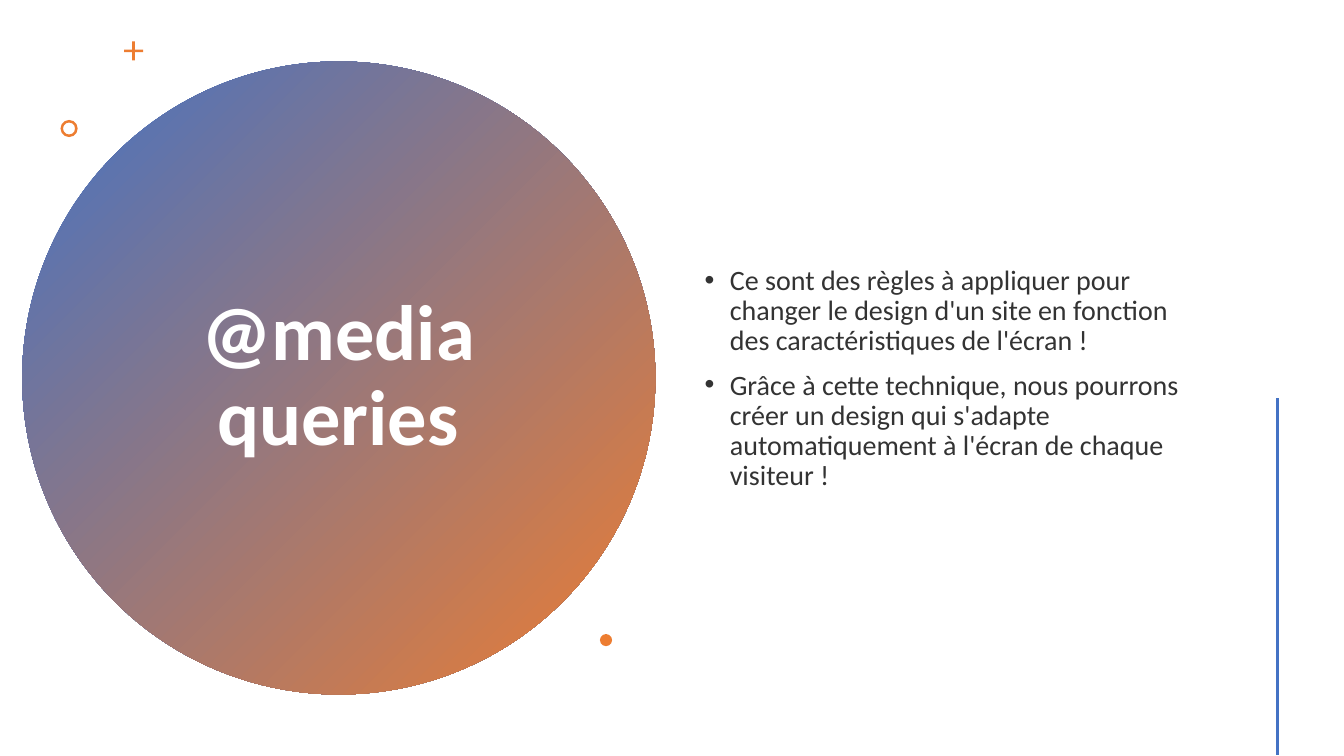
import pptx
import pptx.util
import pptx.dml.color
import pptx.enum.text
import pptx.enum.shapes
import pptx.oxml.ns
import lxml.etree

TITLE = ["@media queries"]
RULES = [
    "Ce sont des règles à appliquer pour changer le design d'un site en fonction des caractéristiques de l'écran !",
    "Grâce à cette technique, nous pourrons créer un design qui s'adapte automatiquement à l'écran de chaque visiteur !",
]
HUES = {"blue": "4472C4", "orange": "ED7D31", "white": "FFFFFF", "ink": "333333"}
FONT = "Calibri"
WIDE, HIGH = 13.33, 7.5

KIND = pptx.enum.shapes.MSO_SHAPE
ALIGN = pptx.enum.text.PP_ALIGN
AREAS = {
    "circle": (1.65, 8.13, 47.11, 83.73),
    "title": (10.2, 18.8, 29.93, 62.27),
    "rules": (51.69, 7.6, 39.16, 85.07),
}
MARKS = [
    (KIND.CROSS, (9.23, 5.47, 1.43, 2.53), 0.43),
    (KIND.DONUT, (4.5, 15.87, 1.28, 2.27), 0.15),
    (KIND.OVAL, (44.64, 83.87, 0.9, 1.6), None),
]
RAIL = (95.05, 52.67, 95.05, 99.87)


def hue(name):
    return pptx.dml.color.RGBColor.from_string(HUES[name])


def scale(area):
    return [pptx.util.Inches(part * side / 100)
            for part, side in zip(area, (WIDE, HIGH) * 2)]


def place(shape, area):
    shape.left, shape.top, shape.width, shape.height = scale(area)


def add(kind, area):
    shape = slide.shapes.add_shape(kind, *scale(area))
    shape.shadow.inherit = False
    shape.line.fill.background()
    return shape


def bullet(para):
    props = para._p.get_or_add_pPr()
    inset = pptx.util.Inches(0.25)
    props.set("marL", str(inset))
    props.set("indent", str(-inset))
    for tag, key, value in (("a:buFont", "typeface", "Arial"), ("a:buChar", "char", "•")):
        item = lxml.etree.SubElement(props, pptx.oxml.ns.qn(tag))
        item.set(key, value)


def write(shape, lines, size, color, bold=False, align=ALIGN.LEFT, dots=False, gap=0):
    frame = shape.text_frame
    frame.word_wrap = True
    frame.auto_size = pptx.enum.text.MSO_AUTO_SIZE.NONE
    frame.vertical_anchor = pptx.enum.text.MSO_ANCHOR.MIDDLE
    for rank, line in enumerate(lines):
        para = frame.add_paragraph() if rank else frame.paragraphs[0]
        if dots:
            bullet(para)
        para.alignment = align
        para.line_spacing = 0.9
        para.space_before = pptx.util.Pt(gap if rank else 0)
        run = para.add_run()
        run.text = line
        run.font.name = FONT
        run.font.size = pptx.util.Pt(size)
        run.font.bold = bold
        run.font.color.rgb = hue(color)


deck = pptx.Presentation()
deck.slide_width = pptx.util.Inches(WIDE)
deck.slide_height = pptx.util.Inches(HIGH)
slide = deck.slides.add_slide(deck.slide_layouts[5])

circle = add(KIND.OVAL, AREAS["circle"])
circle.fill.gradient()
circle.fill.gradient_angle = 315
for stop, name, spot in zip(circle.fill.gradient_stops, ("blue", "orange"), (0, 1)):
    stop.color.rgb = hue(name)
    stop.position = spot

title = slide.shapes.title
circle.element.addnext(title.element)
place(title, AREAS["title"])
write(title, TITLE, 56, "white", bold=True, align=ALIGN.CENTER)

rules = slide.shapes.add_textbox(*scale(AREAS["rules"]))
write(rules, RULES, 20, "ink", dots=True, gap=10)

for kind, area, depth in MARKS:
    mark = add(kind, area)
    mark.fill.solid()
    mark.fill.fore_color.rgb = hue("orange")
    if depth:
        mark.adjustments[0] = depth

rail = slide.shapes.add_connector(pptx.enum.shapes.MSO_CONNECTOR.STRAIGHT, *scale(RAIL))
rail.line.color.rgb = hue("blue")
rail.line.width = pptx.util.Pt(2)
lxml.etree.SubElement(rail.element.spPr, pptx.oxml.ns.qn("a:effectLst"))

deck.save("out.pptx")
